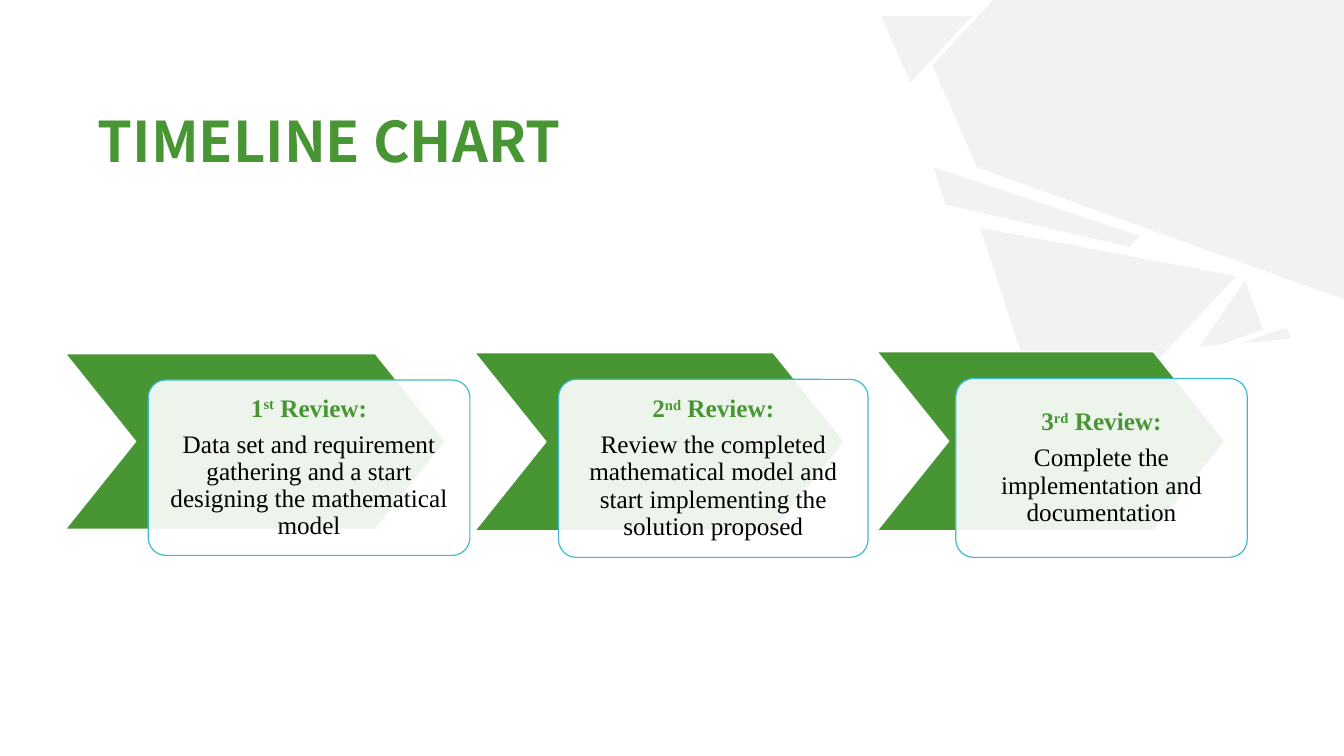
from lxml import etree
from pptx import Presentation
from pptx import util as u
from pptx.dml.color import RGBColor
from pptx.enum import shapes, text
from pptx.oxml.ns import qn

WIDE, HIGH = 13.33, 7.5
GREEN, GREY, WHITE, BLUE, BLACK = "489633", "F2F2F2", "FFFFFF", "40BAD2", "000000"
HEAD, BODY = "Noto Sans CJK SC", "Times New Roman"

SHARDS = [
    [(8.74, 0.16), (9.64, 0.16), (9.03, 0.82)],
    [(9.85, 0), (WIDE, 0), (WIDE, 2.97), (9.69, 1.66), (9.25, 0.65)],
    [(9.72, 2.26), (12.26, 2.74), (10.96, 4.13), (10.22, 3.78)],
    [(9.26, 1.66), (11.3, 2.34), (11.21, 2.45), (9.38, 2.03)],
    [(12.76, 3.25), (12.8, 3.36), (12.32, 3.4)],
    [(12.35, 2.78), (12.53, 3.27), (12.1, 3.42), (11.9, 3.44)],
]

# Box (left, top, width, height), card indent, number, ordinal, task
STAGES = [
    ((0.65, 3.51, 4.01, 2), 0.82, "1", "st",
     "Data set and requirement gathering and a start designing the mathematical model"),
    ((4.71, 3.5, 3.9, 2.03), 0.83, "2", "nd",
     "Review the completed mathematical model and start implementing the solution proposed"),
    ((8.7, 3.49, 3.67, 2.04), 0.78, "3", "rd",
     "Complete the implementation and documentation"),
]


def color(code):
    return RGBColor.from_string(code)


def paint(shape, fill, line=None, alpha=None):
    shape.shadow.inherit = False
    shape.fill.solid()
    shape.fill.fore_color.rgb = color(fill)
    if alpha:
        tint = shape.fill._xPr.find(qn("a:solidFill"))[0]
        etree.SubElement(tint, qn("a:alpha"), val=str(alpha * 1000))
    if line:
        shape.line.color.rgb = color(line)
        shape.line.width = u.Pt(0.85)
    else:
        shape.line.fill.background()


def write(para, words, size=18, font=BODY, fill=BLACK, bold=False, rise=0):
    run = para.add_run()
    run.text = words
    run.font.size, run.font.name, run.font.bold = u.Pt(size), font, bold
    run.font.color.rgb = color(fill)
    if rise:
        run.font._element.set("baseline", str(rise * 1000))


def add_shape(slide, kind, box, adj):
    shape = slide.shapes.add_shape(kind, *map(u.Inches, box))
    shape.adjustments[0] = adj
    return shape


def add_shards(slide):
    for points in SHARDS:
        start, *rest = [(u.Inches(x), u.Inches(y)) for x, y in points]
        pen = slide.shapes.build_freeform(*start)
        pen.add_line_segments(rest)
        paint(pen.convert_to_shape(), GREY)


def add_title(slide, box, words):
    frame = slide.shapes.add_textbox(*map(u.Inches, box)).text_frame
    frame.word_wrap = True
    write(frame.paragraphs[0], words, size=40, font=HEAD, fill=GREEN, bold=True)


def add_stage(slide, box, indent, number, suffix, task):
    """Place a chevron with a card overlapping its lower right."""
    left, top, width, height = box
    tall, drop = 0.87 * height, 0.13 * height
    arrow = add_shape(slide, shapes.MSO_SHAPE.CHEVRON,
                      (left, top, 0.94 * width, tall), 0.4)
    paint(arrow, GREEN, WHITE)
    card = add_shape(slide, shapes.MSO_SHAPE.ROUNDED_RECTANGLE,
                     (left + indent, top + drop, width - indent, tall), 0.1)
    paint(card, WHITE, BLUE, alpha=90)

    frame = card.text_frame
    frame.word_wrap = True
    frame.vertical_anchor = text.MSO_ANCHOR.MIDDLE
    frame.margin_left = frame.margin_right = u.Inches(0.14)
    frame.margin_top = frame.margin_bottom = u.Inches(0.14)
    label, note = frame.paragraphs[0], frame.add_paragraph()
    for para in (label, note):
        para.alignment = text.PP_ALIGN.CENTER
        para.line_spacing = 0.9
        para.space_after = u.Pt(6.3)
    for words, rise in ((number, 0), (suffix, 30), (" Review:", 0)):
        write(label, words, fill=GREEN, bold=True, rise=rise)
    write(note, task)


def main():
    deck = Presentation()
    deck.slide_width, deck.slide_height = u.Inches(WIDE), u.Inches(HIGH)
    slide = deck.slides.add_slide(deck.slide_layouts[6])
    add_shards(slide)
    add_title(slide, (0.87, 1.01, 5.39, 1.08), "TIMELINE CHART")
    for stage in STAGES:
        add_stage(slide, *stage)
    deck.save("out.pptx")


if __name__ == "__main__":
    main()
